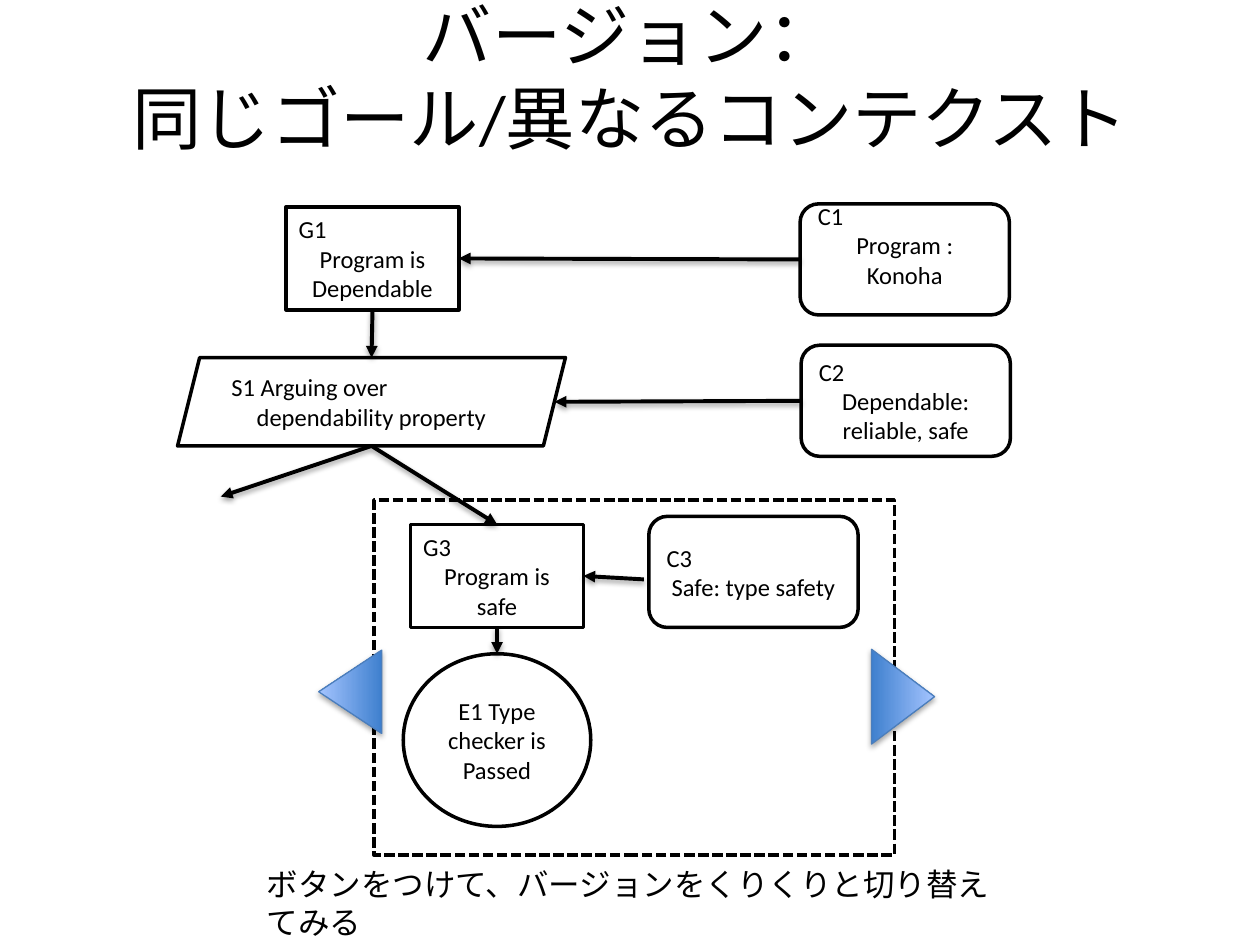
"""Build a goal-structure slide whose dashed part switches between versions."""
import pptx
import pptx.util
import pptx.dml.color
import pptx.enum.dml
import pptx.enum.shapes
import pptx.enum.text
import pptx.oxml
import pptx.oxml.ns

Cm = pptx.util.Cm
Pt = pptx.util.Pt
RGB = pptx.dml.color.RGBColor
KIND = pptx.enum.shapes.MSO_SHAPE
ALIGN = pptx.enum.text.PP_ALIGN
ANCHOR = pptx.enum.text.MSO_ANCHOR

BLACK = RGB(0x00, 0x00, 0x00)
WHITE = RGB(0xFF, 0xFF, 0xFF)
DEEP = RGB(0x3F, 0x80, 0xCE)
PALE = RGB(0xA4, 0xC4, 0xFF)
EDGE = RGB(0x4B, 0x7E, 0xBC)

TOP, LEFT, BOTTOM, RIGHT = range(4)
GOAL = (3.48, 2.08)
NOTE = (4.22, 2.24)


class Board:
    def __init__(self, deck, font="Calibri", size=14):
        self.slide = deck.slides.add_slide(deck.slide_layouts[5])
        self.shapes = self.slide.shapes
        self.font = font
        self.size = size

    def letter(self, frame, lines, size):
        frame.word_wrap = True
        frame.text = "\n".join(lines)
        for para in frame.paragraphs:
            for run in para.runs:
                run.font.name = self.font
                run.font.size = Pt(size)
                run.font.color.rgb = BLACK

    def title(self, text, x, y, w, h):
        head = self.shapes.title
        head.left, head.top, head.width, head.height = map(Cm, (x, y, w, h))
        self.letter(head.text_frame, [text], 39.6)
        head.text_frame.auto_size = pptx.enum.text.MSO_AUTO_SIZE.NONE
        head.text_frame.vertical_anchor = ANCHOR.MIDDLE
        head.text_frame.paragraphs[0].alignment = ALIGN.CENTER

    def label(self, text, x, y, w, h):
        box = self.shapes.add_textbox(*map(Cm, (x, y, w, h)))
        self.letter(box.text_frame, [text], 18)

    def node(self, kind, x, y, size, *lines):
        shape = self.shapes.add_shape(kind, *map(Cm, (x, y, *size)))
        shape.shadow.inherit = False
        shape.fill.solid()
        shape.fill.fore_color.rgb = WHITE
        shape.line.color.rgb = BLACK
        shape.line.width = Pt(2)
        frame = shape.text_frame
        self.letter(frame, lines, self.size)
        frame.vertical_anchor = ANCHOR.MIDDLE
        for para in frame.paragraphs:
            para.alignment = ALIGN.CENTER
        if len(lines) > 1:
            frame.paragraphs[0].alignment = ALIGN.LEFT
        return shape

    def border(self, x, y, size):
        shape = self.node(KIND.RECTANGLE, x, y, size)
        shape.fill.background()
        shape.line.dash_style = pptx.enum.dml.MSO_LINE.SQUARE_DOT

    def shade(self, shape, alpha):
        props = shape._element.spPr
        for old in props.findall(pptx.oxml.ns.qn("a:effectLst")):
            props.remove(old)
        props.append(pptx.oxml.parse_xml(
            f'<a:effectLst {pptx.oxml.ns.nsdecls("a")}>'
            '<a:outerShdw blurRad="40000" dist="21000" dir="5400000" rotWithShape="0">'
            f'<a:srgbClr val="000000"><a:alpha val="{alpha * 1000}"/></a:srgbClr>'
            '</a:outerShdw></a:effectLst>'))

    def arrow(self, start, end):
        """Draw an arrow between two ends, each a point or a (shape, side) pair."""
        kind = pptx.enum.shapes.MSO_CONNECTOR.STRAIGHT
        ends = [(0, 0) if hasattr(spot[0], "shape_id") else spot for spot in (start, end)]
        line = self.shapes.add_connector(kind, *map(Cm, (*ends[0], *ends[1])))
        for spot, join in ((start, line.begin_connect), (end, line.end_connect)):
            if hasattr(spot[0], "shape_id"):
                join(*spot)
        line.line.color.rgb = BLACK
        line.line.width = Pt(2.25)
        line.line._get_or_add_ln().append(pptx.oxml.parse_xml(
            f'<a:tailEnd {pptx.oxml.ns.nsdecls("a")} type="triangle"/>'))
        self.shade(line, 38)

    def button(self, x, y, w, turn):
        shape = self.shapes.add_shape(KIND.ISOSCELES_TRIANGLE, *map(Cm, (x, y, w, 1.27)))
        shape.rotation = turn
        shape.fill.gradient()
        shape.fill.gradient_angle = 90
        for stop, shade, place in zip(shape.fill.gradient_stops, (DEEP, PALE), (0, 1)):
            stop.color.rgb = shade
            stop.position = place
        shape.line.color.rgb = EDGE
        shape.line.width = Pt(0.75)
        self.shade(shape, 35)


def main():
    deck = pptx.Presentation()
    deck.slide_width, deck.slide_height = Cm(25.4), Cm(19.05)
    board = Board(deck)
    board.title("バージョン：\v同じゴール/異なるコンテクスト", 1.27, 0.76, 22.86, 1.5)

    goal = board.node(KIND.RECTANGLE, 5.77, 4.17, GOAL, "G1", "Program is Dependable")
    board.node(KIND.PARALLELOGRAM, 3.58, 7.21, (7.82, 1.78),
               "S1 Arguing over", "dependability property")
    tool = board.node(KIND.ROUNDED_RECTANGLE, 16.13, 4.11, NOTE, "C1", "Program : Konoha")
    tool.text_frame.margin_bottom = Cm(0.71)
    terms = board.node(KIND.ROUNDED_RECTANGLE, 16.15, 6.96, NOTE,
                       "C2", "Dependable: reliable, safe")
    safe = board.node(KIND.RECTANGLE, 8.28, 10.57, GOAL, "G3", "Program is safe")
    board.node(KIND.ROUNDED_RECTANGLE, 13.08, 10.41, NOTE, "C3", "Safe: type safety")
    board.border(7.54, 10.08, (10.49, 7.16))
    proof = board.node(KIND.OVAL, 8.13, 13.18, (3.78, 3.48), "E1 Type checker is Passed")

    fork = (7.49, 8.99)
    for start, end in (
        ((tool, LEFT), (goal, RIGHT)),
        ((goal, BOTTOM), (7.49, 7.21)),
        ((terms, LEFT), (11.18, 8.1)),
        (fork, (4.45, 10.01)),
        (fork, (safe, TOP)),
        ((12.98, 11.68), (safe, RIGHT)),
        ((safe, BOTTOM), (proof, TOP)),
    ):
        board.arrow(start, end)

    board.label("ボタンをつけて、バージョンをくりくりと切り替えてみる", 5.13, 17.32, 15.21, 1.02)
    board.button(6.22, 13.31, 1.68, 270)
    board.button(17.25, 13.41, 1.91, 90)
    deck.save("out.pptx")


if __name__ == "__main__":
    main()
